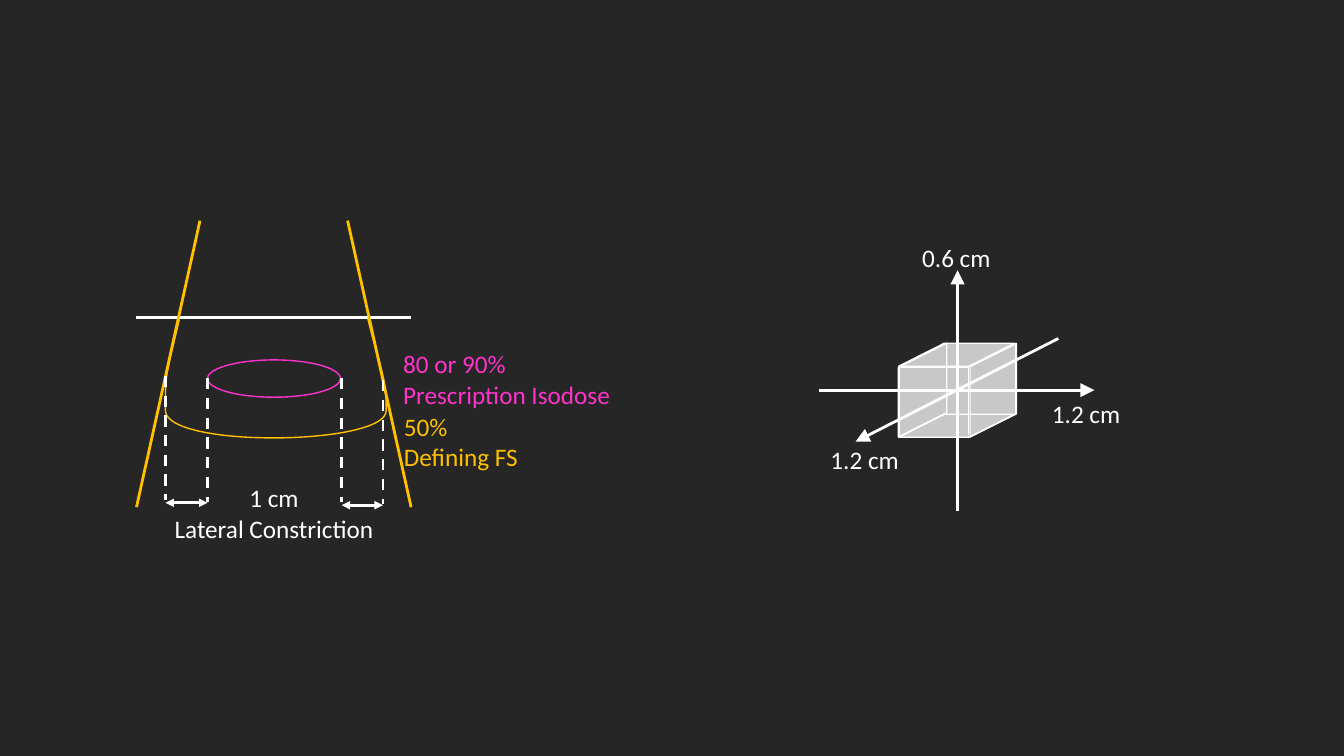
from lxml import etree
from pptx import Presentation
from pptx.dml.color import RGBColor
from pptx.enum import dml, shapes, text
from pptx.oxml.ns import qn
from pptx.util import Cm, Pt

BACKGROUND = RGBColor(0x26, 0x26, 0x26)
WHITE = RGBColor(0xFF, 0xFF, 0xFF)
GOLD = RGBColor(0xFF, 0xC0, 0x00)
MAGENTA = RGBColor(0xFF, 0x33, 0xCC)
FONT = "Calibri"
CURVE_STEPS = 40

BEAM_AXIS = 6.9
FIELD_LEFT, DOSE_LEFT, DOSE_RIGHT, FIELD_RIGHT = 4.17, 5.23, 8.61, 9.65
FIELD_START = (4.52, 8.05)
FIELD_CURVES = [
    ((4.17, 9.53), (4.17, 9.4), (4.17, 10.34)),
    ((4.17, 11.3), (9.7, 11.23), (9.73, 10.36)),
    ((9.75, 9.53), (9.58, 9.3), (9.27, 8.03)),
]


def add_line(parent, start, end, color=WHITE, dashed=False, heads=(), head_size="med"):
    line = parent.add_connector(
        shapes.MSO_CONNECTOR.STRAIGHT, *[Cm(v) for v in (*start, *end)])
    line.line.color.rgb = color
    line.line.width = Pt(2)
    if dashed:
        line.line.dash_style = dml.MSO_LINE.DASH
    properties = line._element.spPr
    outline = properties.find(qn("a:ln"))
    for head in heads:
        etree.SubElement(outline, qn("a:" + head), type="triangle",
                         w=head_size, len=head_size)
    etree.SubElement(properties, qn("a:effectLst"))


def outline_shape(shape, color):
    shape.shadow.inherit = False
    shape.fill.background()
    shape.line.color.rgb = color
    shape.line.width = Pt(1)


def add_label(parent, box, lines, color=WHITE, align=text.PP_ALIGN.LEFT):
    frame = parent.add_textbox(*[Cm(v) for v in box]).text_frame
    frame.word_wrap = False
    frame.auto_size = text.MSO_AUTO_SIZE.SHAPE_TO_FIT_TEXT
    frame.text = "\n".join(lines)
    for paragraph in frame.paragraphs:
        paragraph.alignment = align
        for run in paragraph.runs:
            run.font.name = FONT
            run.font.size = Pt(18)
            run.font.color.rgb = color


def add_face(cube, kind, box, slant=None, upright=False):
    face = cube.add_shape(kind, *[Cm(v) for v in box])
    outline_shape(face, WHITE)
    face.fill.solid()
    face.fill.fore_color.rgb = WHITE
    tint = face._element.spPr.find(qn("a:solidFill")).find(qn("a:srgbClr"))
    etree.SubElement(tint, qn("a:alpha"), val="50000")
    if slant:
        face.adjustments[0] = slant
    if upright:
        face.rotation = 270
        face._element.spPr.find(qn("a:xfrm")).set("flipV", "1")


def bezier_points(start, curves):
    points = []
    for first, second, end in curves:
        for step in range(1, CURVE_STEPS + 1):
            t = step / CURVE_STEPS
            s = 1 - t
            points.append(tuple(
                Cm(s**3 * a + 3 * s * s * t * b + 3 * s * t * t * c + t**3 * d)
                for a, b, c, d in zip(start, first, second, end)))
        start = end
    return points


def add_field_curve(parent):
    builder = parent.build_freeform(*[Cm(v) for v in FIELD_START])
    builder.add_line_segments(bezier_points(FIELD_START, FIELD_CURVES), close=False)
    outline_shape(builder.convert_to_shape(), GOLD)


def draw_beam(parent):
    add_line(parent, (3.43, 8), (10.36, 8))
    for side in (-1, 1):
        add_line(parent, (BEAM_AXIS + side * 1.86, 5.56),
                 (BEAM_AXIS + side * 3.46, 12.78), GOLD)
    isodose = parent.add_shape(
        shapes.MSO_SHAPE.OVAL, Cm(DOSE_LEFT), Cm(9.07), Cm(3.35), Cm(0.94))
    outline_shape(isodose, MAGENTA)
    add_field_curve(parent)
    add_label(parent, (9.93, 10.24, 3.43, 1.8), ["50%", "Defining FS"], GOLD)
    add_label(parent, (9.91, 8.66, 5.79, 1.8),
              ["80 or 90%", "Prescription Isodose"], MAGENTA)
    for left, right, level in ((FIELD_LEFT, DOSE_LEFT, 12.67),
                               (DOSE_RIGHT, FIELD_RIGHT, 12.73)):
        add_line(parent, (left, level), (right, level), heads=("headEnd", "tailEnd"))
    for edge, top in ((FIELD_LEFT, 9.47), (DOSE_LEFT, 9.53),
                      (DOSE_RIGHT, 9.53), (FIELD_RIGHT, 9.58)):
        add_line(parent, (edge, top), (edge, top + 3.12), dashed=True)
    add_label(parent, (4.11, 12.04, 5.59, 1.8),
              ["1 cm", "Lateral Constriction"], align=text.PP_ALIGN.CENTER)


def draw_volume(parent):
    axes = parent.add_group_shape().shapes
    for start, end in (((20.65, 9.83), (27.58, 9.83)),
                       ((26.67, 8.53), (21.56, 11.13)),
                       ((24.13, 12.88), (24.13, 6.81))):
        add_line(axes, start, end, heads=("tailEnd",), head_size="lg")

    cube = parent.add_group_shape().shapes
    slanted, square = shapes.MSO_SHAPE.PARALLELOGRAM, shapes.MSO_SHAPE.RECTANGLE
    add_face(cube, slanted, (22.65, 10.44, 2.92, 0.58), slant=1.98)
    add_face(cube, square, (22.66, 9.25, 1.75, 1.78))
    add_face(cube, slanted, (22.65, 8.65, 2.92, 0.58), slant=1.98)
    add_face(cube, square, (23.85, 8.66, 1.75, 1.78))
    add_face(cube, slanted, (23.85, 9.25, 2.36, 1.17), slant=0.5, upright=True)
    add_face(cube, slanted, (22.07, 9.22, 2.36, 1.22), slant=0.5, upright=True)

    for size, left, top in (("0.6 cm", 22.99, 5.97), ("1.2 cm", 26.26, 9.91),
                            ("1.2 cm", 20.68, 11.07)):
        add_label(parent, (left, top, 2.26, 1.02), [size])


def main():
    deck = Presentation()
    deck.slide_width, deck.slide_height = Cm(33.87), Cm(19.05)
    slide = deck.slides.add_slide(deck.slide_layouts[6])
    slide.background.fill.solid()
    slide.background.fill.fore_color.rgb = BACKGROUND
    draw_beam(slide.shapes)
    draw_volume(slide.shapes)
    deck.save("out.pptx")


if __name__ == "__main__":
    main()
